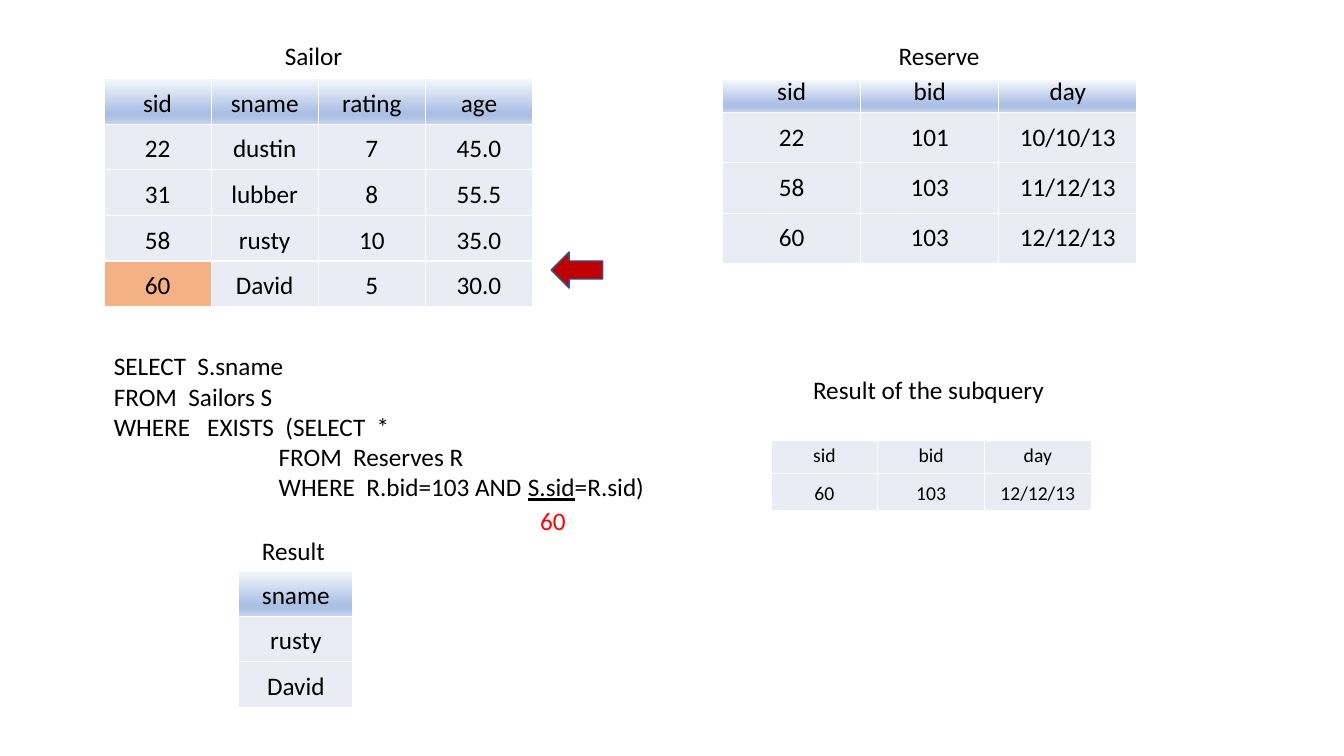
from pptx import Presentation
from pptx import util as u
from pptx.dml.color import RGBColor
from pptx.enum import shapes, text
from pptx.oxml import parse_xml
from pptx.oxml.ns import nsdecls

FONT = "Calibri"
BLACK, RED, DARK_RED, BLUE = "000000", "FF0000", "C00000", "325491"
CELL, HIGHLIGHT = "E9EBF5", "F4B183"
HEADER_STOPS = [(0, "F6F8FC"), (74, "ABC0E4"), (83, "ABC0E4"), (100, "C7D5ED")]

SAILORS = [
    ("sid", "sname", "rating", "age"),
    ("22", "dustin", "7", "45.0"),
    ("31", "lubber", "8", "55.5"),
    ("58", "rusty", "10", "35.0"),
    ("60", "David", "5", "30.0"),
]
RESERVES = [
    ("sid", "bid", "day"),
    ("22", "101", "10/10/13"),
    ("58", "103", "11/12/13"),
    ("60", "103", "12/12/13"),
]
SUBQUERY = [("sid", "bid", "day"), ("60", "103", "12/12/13")]
RESULT = [("sname",), ("rusty",), ("David",)]

# rows, left, top, column width, header height, row height (cm), font size, options
TABLES = [
    (SAILORS, 2.62, 1.98, 2.7, 1.15, 1.15, 18, {"marked": (4, 0)}),
    (RESERVES, 18.21, 2.01, 3.48, 0.8, 1.27, 18, {"tight_header": True}),
    (RESULT, 6.02, 14.38, 2.87, 1.13, 1.13, 18, {}),
    (SUBQUERY, 19.43, 11.1, 2.69, 0.82, 0.92, 14,
     {"tight_header": True, "gradient_header": False}),
]

# text, left, top, width (cm), colour
LABELS = [
    ("Sailor", 6.93, 0.89, 1.98, BLACK),
    ("Reserve", 22.4, 0.89, 2.57, BLACK),
    ("Result of the subquery", 20.24, 9.3, 6.4, BLACK),
    ("Result", 6.35, 13.36, 2.11, BLACK),
    ("60", 13.36, 12.6, 1.17, RED),
]

UNDERLINED = "S.sid"
QUERY = [
    ["SELECT  S.sname"],
    ["FROM  Sailors S"],
    ["WHERE   EXISTS  (SELECT  *"],
    ["                             FROM  Reserves R"],
    ["                             WHERE  R.bid=103 AND ", UNDERLINED, "=R.sid)"],
]


def color(value):
    return RGBColor.from_string(value)


def set_font(paragraph, size=18, value=BLACK):
    paragraph.font.name = FONT
    paragraph.font.size = u.Pt(size)
    paragraph.font.color.rgb = color(value)


def fill_header(cell):
    """Give a cell the vertical header gradient."""
    stops = "".join(f'<a:gs pos="{position * 1000}"><a:srgbClr val="{value}"/></a:gs>'
                    for position, value in HEADER_STOPS)
    cell._tc.get_or_add_tcPr().append(parse_xml(
        f'<a:gradFill {nsdecls("a")}><a:gsLst>{stops}</a:gsLst>'
        '<a:lin ang="5400000" scaled="0"/></a:gradFill>'))


def add_grid(slide, rows, left, top, column_width, header_height, row_height, size,
             marked=None, tight_header=False, gradient_header=True):
    columns = len(rows[0])
    height = header_height + row_height * (len(rows) - 1)
    table = slide.shapes.add_table(len(rows), columns, u.Cm(left), u.Cm(top),
                                   u.Cm(column_width * columns), u.Cm(height)).table
    table.first_row = table.horz_banding = False
    for column in table.columns:
        column.width = u.Cm(column_width)
    for r, values in enumerate(rows):
        table.rows[r].height = u.Cm(row_height if r else header_height)
        for c, value in enumerate(values):
            cell = table.cell(r, c)
            if r == 0 and gradient_header:
                fill_header(cell)
            else:
                cell.fill.solid()
                cell.fill.fore_color.rgb = color(HIGHLIGHT if (r, c) == marked else CELL)
            cell.text = value
            paragraph = cell.text_frame.paragraphs[0]
            paragraph.alignment = text.PP_ALIGN.CENTER
            paragraph.line_spacing = u.Pt(16.1) if r == 0 and tight_header else 1.15
            set_font(paragraph, size)


def add_text(slide, lines, left, top, width, height, wrap, value=BLACK):
    """Add a text box; each line is a list of runs."""
    box = slide.shapes.add_textbox(u.Cm(left), u.Cm(top), u.Cm(width), u.Cm(height))
    frame = box.text_frame
    frame.word_wrap = wrap
    frame.auto_size = text.MSO_AUTO_SIZE.SHAPE_TO_FIT_TEXT
    for index, parts in enumerate(lines):
        paragraph = frame.add_paragraph() if index else frame.paragraphs[0]
        set_font(paragraph, value=value)
        for part in parts:
            run = paragraph.add_run()
            run.text = part
            if part == UNDERLINED:
                run.font.underline = True


def main():
    presentation = Presentation()
    presentation.slide_width, presentation.slide_height = u.Cm(33.87), u.Cm(19.05)
    slide = presentation.slides.add_slide(presentation.slide_layouts[6])

    for *geometry, options in TABLES:
        add_grid(slide, *geometry, **options)
    add_text(slide, QUERY, 2.62, 8.71, 15.24, 4.11, True)
    for label, left, top, width, value in LABELS:
        add_text(slide, [[label]], left, top, width, 1.02, False, value)

    arrow = slide.shapes.add_shape(shapes.MSO_SHAPE.LEFT_ARROW,
                                   u.Cm(13.89), u.Cm(6.35), u.Cm(1.3), u.Cm(0.91))
    arrow.shadow.inherit = False
    arrow.fill.solid()
    arrow.fill.fore_color.rgb = color(DARK_RED)
    arrow.line.color.rgb = color(BLUE)
    arrow.line.width = u.Pt(1)

    presentation.save("out.pptx")


if __name__ == "__main__":
    main()
